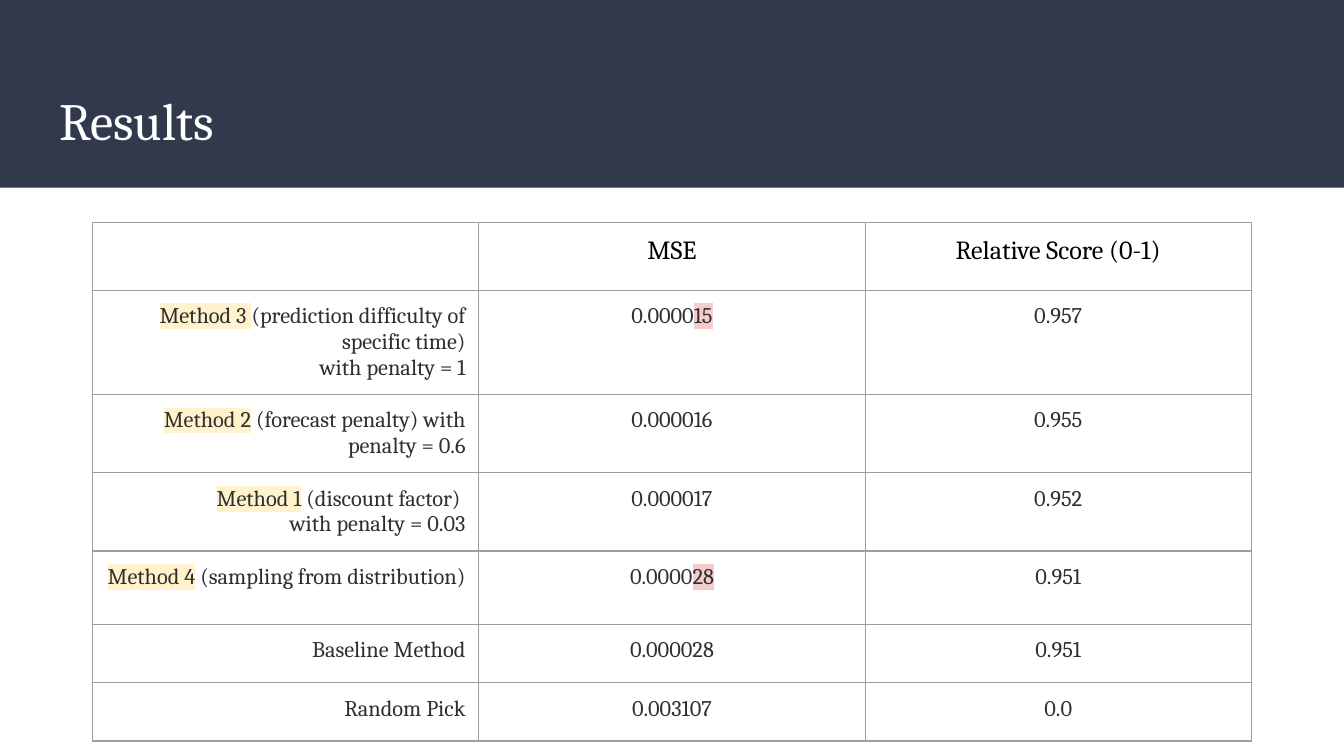
import pptx
import pptx.dml.color
import pptx.enum.shapes
import pptx.enum.text
import pptx.oxml
import pptx.oxml.ns
import pptx.util
from pptx.util import Cm

THEME = {
    "font": "Cambria", "band": "31394D", "title": "FFFFFF", "head": "000000",
    "body": "2F2F2F", "border": "9E9E9E", "yellow": "FFF2CC", "red": "F4CCCC",
    "title_size": 28, "head_size": 14, "body_size": 12, "border_width": 0.75,
}
NS = pptx.oxml.ns.nsdecls("a")
ALIGN = pptx.enum.text.PP_ALIGN


def add_run(p, text, size, color, highlight=None):
    r = p.add_run()
    r.text = text
    r.font.name = THEME["font"]
    r.font.size = pptx.util.Pt(THEME[size])
    r.font.color.rgb = pptx.dml.color.RGBColor.from_string(THEME[color])
    if highlight:
        fill = r.font.fill._xPr.find(pptx.oxml.ns.qn("a:solidFill"))
        fill.addnext(pptx.oxml.parse_xml(
            f'<a:highlight {NS}><a:srgbClr val="{THEME[highlight]}"/></a:highlight>'))


def add_borders(cell):
    tcPr = cell._tc.get_or_add_tcPr()
    width = pptx.util.Pt(THEME["border_width"])
    for i, side in enumerate(("lnL", "lnR", "lnT", "lnB")):
        tcPr.insert(i, pptx.oxml.parse_xml(
            f'<a:{side} {NS} w="{width}"><a:solidFill>'
            f'<a:srgbClr val="{THEME["border"]}"/></a:solidFill></a:{side}>'))


prs = pptx.Presentation()
prs.slide_width, prs.slide_height = Cm(25.4), Cm(14.29)
s = prs.slides.add_slide(prs.slide_layouts[5])

title = s.shapes.title
band = s.shapes.add_shape(
    pptx.enum.shapes.MSO_SHAPE.RECTANGLE, 0, 0, prs.slide_width, Cm(3.55))
band.shadow.inherit = False
band.fill.solid()
band.fill.fore_color.rgb = pptx.dml.color.RGBColor.from_string(THEME["band"])
band.line.fill.background()
title.element.addprevious(band.element)

title.left, title.top, title.width, title.height = Cm(0.87), Cm(1.4), Cm(23.67), Cm(1.73)
tf = title.text_frame
tf.margin_left = tf.margin_right = tf.margin_top = tf.margin_bottom = Cm(0.25)
tf.vertical_anchor = pptx.enum.text.MSO_ANCHOR.MIDDLE
p = tf.paragraphs[0]
p.alignment = ALIGN.LEFT
add_run(p, "Results", "title_size", "title")

rows = [
    ([], [[("MSE",)]], [[("Relative Score (0-1)",)]]),
    ([[("Method 3 ", "yellow"), ("(prediction difficulty of specific time)",)],
      [("with penalty = 1",)]],
     [[("0.0000",), ("15", "red")]], [[("0.957",)]]),
    ([[("Method 2", "yellow"), (" (forecast penalty) with penalty = 0.6",)]],
     [[("0.000016",)]], [[("0.955",)]]),
    ([[("Method 1", "yellow"), (" (discount factor) ",)], [("with penalty = 0.03",)]],
     [[("0.000017",)]], [[("0.952",)]]),
    ([[("Method 4", "yellow"), (" (sampling from distribution)",)]],
     [[("0.0000",), ("28", "red")]], [[("0.951",)]]),
    ([[("Baseline Method",)]], [[("0.000028",)]], [[("0.951",)]]),
    ([[("Random Pick",)]], [[("0.003107",)]], [[("0.0",)]]),
]
heights = [1.22, 1.97, 1.48, 1.48, 1.39, 1.1, 1.1]

table = s.shapes.add_table(
    len(rows), 3, Cm(1.75), Cm(4.21), Cm(21.9), Cm(sum(heights))).table
table.first_row = table.horz_banding = False
for col in table.columns:
    col.width = Cm(7.3)
for i, (row, height) in enumerate(zip(rows, heights)):
    table.rows[i].height = Cm(height)
    size, color = ("body_size", "body") if i else ("head_size", "head")
    for j, paragraphs in enumerate(row):
        cell = table.cell(i, j)
        cell.margin_left = cell.margin_right = Cm(0.25)
        cell.margin_top = cell.margin_bottom = Cm(0.25)
        cell.fill.background()
        add_borders(cell)
        tf = cell.text_frame
        for k, runs in enumerate(paragraphs):
            p = tf.add_paragraph() if k else tf.paragraphs[0]
            p.alignment = ALIGN.CENTER if j else ALIGN.RIGHT
            for text, *highlight in runs:
                add_run(p, text, size, color, *highlight)

prs.save("out.pptx")
